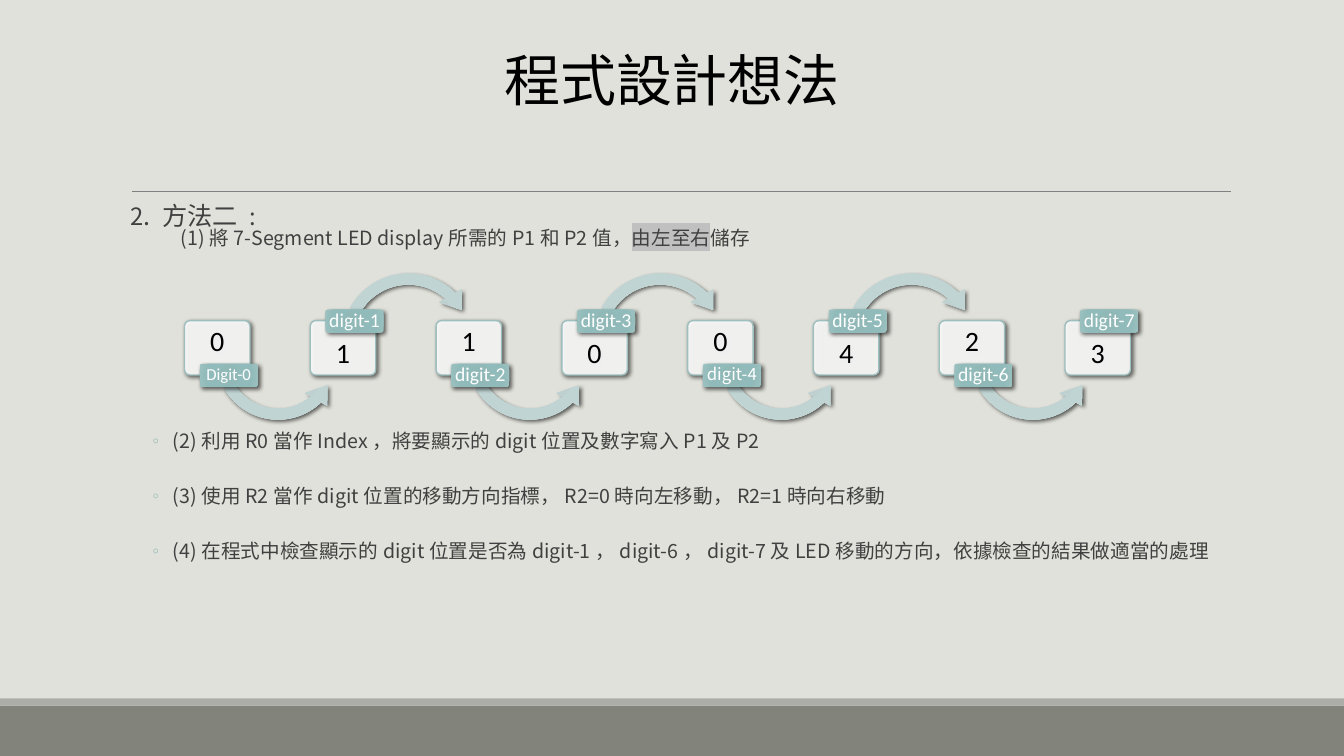
"""Build the slide on how the digits are stored from left to right."""
from pptx import Presentation
from pptx.dml.color import RGBColor as Rgb
from pptx.enum.shapes import MSO_CONNECTOR as Link, MSO_SHAPE as Kind
from pptx.enum.text import MSO_ANCHOR as Anchor, MSO_AUTO_SIZE as Fit, PP_ALIGN as Align
from pptx.oxml import parse_xml
from pptx.oxml.ns import nsdecls, qn
from pptx.util import Cm, Pt

CJK, LATIN = "Noto Sans CJK SC", "Calibri"
BLACK, WHITE = Rgb(0, 0, 0), Rgb(255, 255, 255)
PAPER, INK = Rgb(0xE1, 0xE1, 0xDB), Rgb(0x40, 0x40, 0x40)
BAR, TRIM, RULE = Rgb(0x82, 0x84, 0x7C), Rgb(0xAC, 0xAD, 0xA8), Rgb(0x80, 0x80, 0x80)
TEAL, MARK = Rgb(0x9D, 0xBF, 0xBE), Rgb(0xC0, 0xC0, 0xC0)
ARROW = [Rgb.from_string(c) for c in ("BCCFCE", "BED1D0", "C0D4D3", "CBDCDC")]
TAG = [Rgb.from_string(c) for c in ("8EB7B6", "90B8B7", "91BBBA", "9BC1C0")]

TITLE = "程式設計想法"
HEAD = [("2", 17), (". 方法二 ", 18), (":", 17)]
STEP = [("(1)將7-Segment LED display所需的P1和P2值，", 14), ("由左至右", 14), ("儲存", 14)]
LIST = [
    ("(2)利用R0當作Index，將要顯示的digit位置及數字寫入P1及P2", 127.7),
    ("(3)使用R2當作digit位置的移動方向指標，R2=0時向左移動，R2=1時向右移動", 21.9),
    ("(4)在程式中檢查顯示的digit位置是否為digit-1，digit-6，digit-7及LED移動的方向，"
     "依據檢查的結果做適當的處理", 21.9),
]
DIGITS = [
    ("0", "Digit-0", 12, LATIN), ("1", "digit-1", 14, LATIN),
    ("1", "digit-2", 14, LATIN), ("0", "digit-3", 14, LATIN),
    ("0", "digit-4", 12, CJK), ("4", "digit-5", 14, LATIN),
    ("2", "digit-6", 14, LATIN), ("3", "digit-7", 14, LATIN),
]
LOW = dict(kind=Kind.LEFT_CIRCULAR_ARROW, top=7.26, size=3.5, tag=9.17, pad=0.13,
           turn=(0.079, 10.983, 28.738, 90.245, 0.092))
HIGH = dict(kind=Kind.CIRCULAR_ARROW, top=6.71, size=3.73, tag=7.8, pad=0.43,
            turn=(0.075, 10.231, 188.014, 125.755, 0.087))
LEFT, PITCH = 4.65, 3.17


def style(run, size, color, face):
    run.font.size, run.font.name = Pt(size), face
    run.font.color.rgb = color
    east = parse_xml(f'<a:ea {nsdecls("a")} typeface="{face}"/>')
    run.font._element.find(qn("a:latin")).addnext(east)


def space(para, line, before=0, after=0):
    para.line_spacing = line
    para.space_before, para.space_after = Pt(before), Pt(after)


def indent(para, left, first, mark=None):
    props = para._p.get_or_add_pPr()
    props.set("marL", str(Cm(left)))
    props.set("indent", str(Cm(first)))
    if mark:
        props.append(parse_xml(f'<a:buClr {nsdecls("a")}><a:srgbClr val="{TEAL}"/></a:buClr>'))
        props.append(parse_xml(f'<a:buChar {nsdecls("a")} char="{mark}"/>'))
    else:
        props.append(parse_xml(f'<a:buNone {nsdecls("a")}/>'))


def fill_runs(para, parts):
    for text, size in parts:
        run = para.add_run()
        run.text = text
        style(run, size, INK, CJK)


def place(shape, left, top, width, height):
    shape.left, shape.top = Cm(left), Cm(top)
    shape.width, shape.height = Cm(width), Cm(height)


def add_part(slide, kind, left, top, width, height, color=None):
    part = slide.shapes.add_shape(kind, Cm(left), Cm(top), Cm(width), Cm(height))
    part.shadow.inherit = False
    part.line.fill.background()
    if color is not None:
        part.fill.solid()
        part.fill.fore_color.rgb = color
    return part


def shade(part):
    glow = part.element.spPr.find(qn("a:effectLst"))
    glow.append(parse_xml(
        f'<a:outerShdw {nsdecls("a")} blurRad="{Pt(3)}" dist="{Pt(2)}" dir="2700000">'
        '<a:srgbClr val="000000"><a:alpha val="60000"/></a:srgbClr></a:outerShdw>'))


def blend(part, colors):
    stops = "".join(f'<a:gs pos="{pos}000"><a:srgbClr val="{color}"/></a:gs>'
                    for pos, color in zip((0, 34, 70, 100), colors))
    part.element.spPr.find(qn("a:prstGeom")).addnext(parse_xml(
        f'<a:gradFill {nsdecls("a")}><a:gsLst>{stops}</a:gsLst><a:path path="circle">'
        '<a:fillToRect l="100000" t="100000" r="100000" b="100000"/></a:path></a:gradFill>'))


def label(part, text, size, color, face, anchor, pad):
    frame = part.text_frame
    frame.text, frame.word_wrap = text, False
    frame.vertical_anchor = anchor
    frame.margin_left = frame.margin_right = Cm(0.08)
    frame.margin_top, frame.margin_bottom = Cm(pad), Cm(0.05)
    para = frame.paragraphs[0]
    para.alignment = Align.CENTER
    space(para, 0.9)
    style(para.runs[0], size, color, face)


def add_digit(slide, index, value, name, size, face):
    side = HIGH if index % 2 else LOW
    left = LEFT + index * PITCH
    box = add_part(slide, Kind.ROUNDED_RECTANGLE, left, 8.08, 1.65, 1.37, WHITE)
    box.adjustments[0] = 0.1
    tint = box.element.spPr.find(qn("a:solidFill"))[0]
    tint.append(parse_xml(f'<a:alpha {nsdecls("a")} val="90000"/>'))
    box.line.color.rgb, box.line.width = TEAL, Pt(1)
    shade(box)
    label(box, value, 20, BLACK, LATIN, Anchor.TOP, side["pad"])
    if index < len(DIGITS) - 1:
        arrow = add_part(slide, side["kind"], left + 0.61, side["top"], side["size"], side["size"])
        for spot, turn in enumerate(side["turn"]):
            arrow.adjustments[spot] = turn
        blend(arrow, ARROW)
        shade(arrow)
    tag = add_part(slide, Kind.ROUNDED_RECTANGLE, left + 0.38, side["tag"], 1.47, 0.58)
    tag.adjustments[0] = 0.1
    blend(tag, TAG)
    shade(tag)
    label(tag, name, size, WHITE, face, Anchor.MIDDLE, 0.05)


def add_body(body):
    place(body, 3.28, 5.03, 29.21, 12.09)
    frame = body.text_frame
    frame.auto_size, frame.word_wrap = Fit.NONE, True
    frame.margin_left = frame.margin_right = 0
    frame.margin_top = frame.margin_bottom = Cm(0.13)
    head = frame.paragraphs[0]
    space(head, 0.85)
    indent(head, 0, 0)
    fill_runs(head, HEAD)
    step = frame.add_paragraph()
    step.level = 1
    space(step, 0.8, 0, 4)
    indent(step, 1.27, 0)
    fill_runs(step, STEP)
    color = step.runs[1].font._element.find(qn("a:solidFill"))
    color.addnext(parse_xml(
        f'<a:highlight {nsdecls("a")}><a:srgbClr val="{MARK}"/></a:highlight>'))
    for text, gap in LIST:
        para = frame.add_paragraph()
        para.level = 1
        space(para, 0.8, gap, 4)
        indent(para, 1.07, -0.51, "◦")
        fill_runs(para, [(text, 14)])


def main():
    deck = Presentation()
    deck.slide_width, deck.slide_height = Cm(33.87), Cm(19.05)
    slide = deck.slides.add_slide(deck.slide_layouts[1])
    slide.background.fill.solid()
    slide.background.fill.fore_color.rgb = PAPER
    add_part(slide, Kind.RECTANGLE, 0, 17.78, 33.87, 1.27, BAR)
    add_part(slide, Kind.RECTANGLE, 0, 17.6, 33.87, 0.18, TRIM)
    rule = slide.shapes.add_connector(Link.STRAIGHT, Cm(3.33), Cm(4.83), Cm(31.01), Cm(4.83))
    rule.line.color.rgb, rule.line.width = RULE, Pt(0.5)
    rule.element.spPr.append(parse_xml(f'<a:effectLst {nsdecls("a")}/>'))
    title = slide.shapes.title
    place(title, 0, 1.02, 33.87, 2.06)
    label(title, TITLE, 40, BLACK, CJK, Anchor.MIDDLE, 0.13)
    title.text_frame.auto_size, title.text_frame.word_wrap = Fit.NONE, True
    add_body(slide.placeholders[1])
    for index, digit in enumerate(DIGITS):
        add_digit(slide, index, *digit)
    deck.save("out.pptx")


if __name__ == "__main__":
    main()
